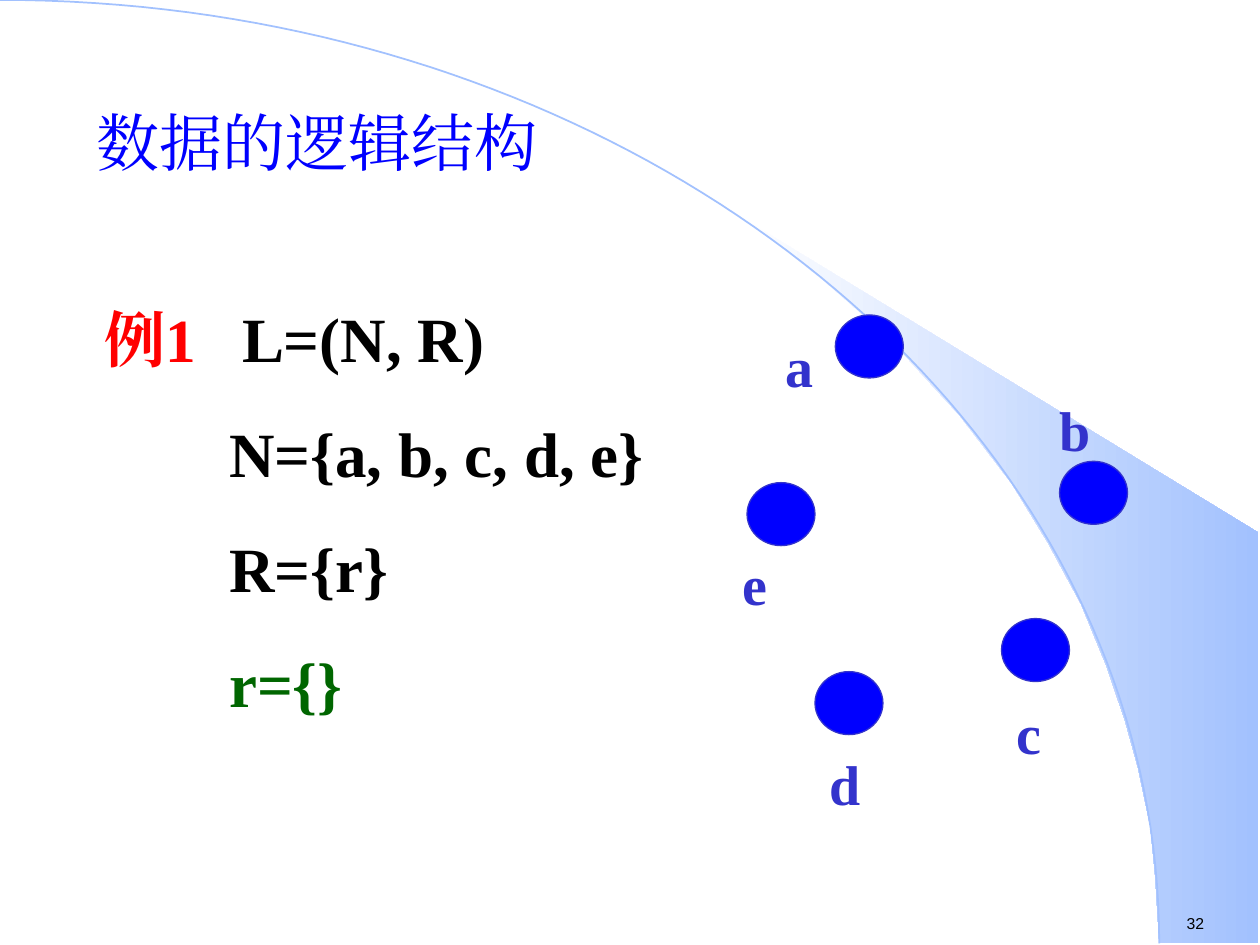
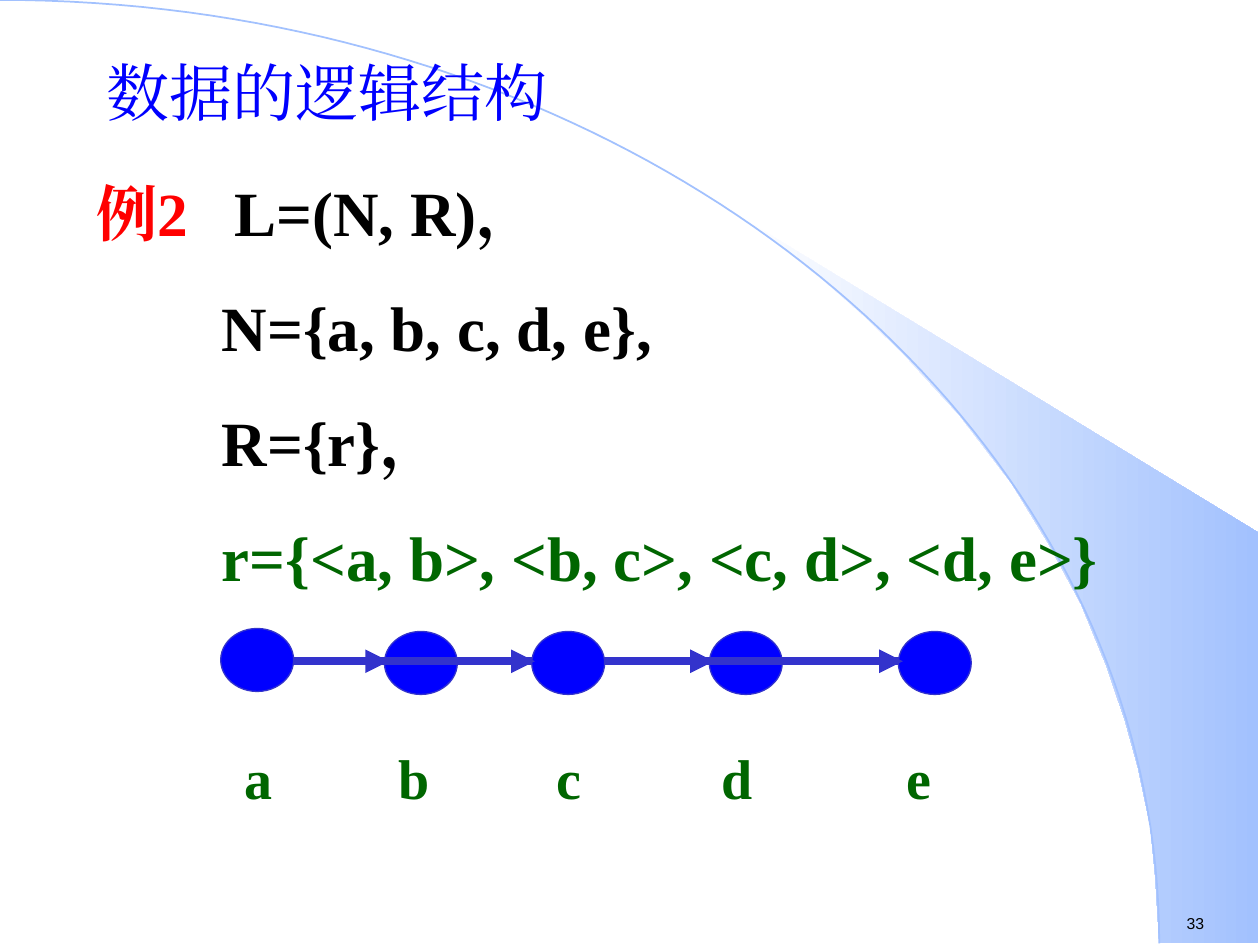
from dataclasses import dataclass
from typing import NamedTuple

from lxml.etree import SubElement
from pptx import Presentation
from pptx.dml.color import RGBColor
from pptx.enum.shapes import MSO_CONNECTOR, MSO_SHAPE
from pptx.enum.text import MSO_ANCHOR, PP_ALIGN
from pptx.oxml.ns import qn
from pptx.util import Cm, Pt


@dataclass(frozen=True)
class Theme:
    serif: str = "Times New Roman"
    sans: str = "Arial"
    black: str = "000000"
    blue: str = "0000FF"
    indigo: str = "3333CC"
    red: str = "FF0000"
    green: str = "006600"
    sky: str = "A2C1FE"
    white: str = "FFFFFF"
    title_size: float = 36
    body_size: float = 36
    example_size: float = 35
    label_size: float = 32
    number_size: float = 9
    line_height: float = 1.2
    formula_gap: float = 22.5


THEME = Theme()


class Node(NamedTuple):
    left: float
    top: float
    width: float
    height: float = 1.27


class Label(NamedTuple):
    text: str
    center: float
    top: float


class Span(NamedTuple):
    text: str
    color: str
    size: float = THEME.body_size


class Example(NamedTuple):
    """Formula block: its heading, then indented lines, the last one green."""
    left: float
    top: float
    width: float
    heading: str
    lines: tuple[str, ...]


BAND = (
    (23.37, 19), (25.37, 19.02), (25.37, 10.74), (14.96, 4.39), (15.85, 5.05),
    (16.59, 5.64), (17.4, 6.35), (18.19, 7.11), (19.35, 8.38), (20.4, 9.75),
    (21.13, 10.95), (21.79, 12.17), (22.3, 13.41), (22.68, 14.53),
    (22.94, 15.47), (23.19, 16.66), (23.29, 17.68),
)
ARC_CONTROLS = ((0, 0), (12.9, 0), (23.37, 8.51), (23.37, 19.02))
ARC_STEPS = 80
FORMULA_INDENT = 2.52
HEADING_TAB = 2.78
LABEL_WIDTH, LABEL_HEIGHT = 1.5, 1.63

SCATTERED_NODES = tuple(Node(left, top, 1.37) for left, top in (
    (15.06, 9.73), (16.43, 13.54), (21.36, 9.3), (16.84, 6.35), (20.19, 12.47)))
SCATTERED_LABELS = (
    Label("a", 16.11, 6.53), Label("e", 15.21, 10.92), Label("c", 20.75, 13.92),
    Label("d", 17.03, 14.94), Label("b", 21.67, 7.82))

CHAIN_A, CHAIN_B, CHAIN_C, CHAIN_D, CHAIN_E = (
    Node(left, top, 1.47) for left, top in (
        (4.45, 12.67), (7.75, 12.73), (10.72, 12.73), (14.3, 12.73), (18.11, 12.73)))
CHAIN_LABELS = tuple(Label(text, center, 14.83) for text, center in zip(
    "abcde", (5.22, 8.35, 11.48, 14.86, 18.53)))
CHAIN_Y = 13.33
ARROW_STARTS = (7.42, 10.36, 13.97, 17.78)
ARROW_LENGTH = 0.42


def rgb(color: str) -> RGBColor:
    return RGBColor.from_string(color)


def add_text(page, left: float, top: float, width: float, height: float,
             paragraphs: list[list[Span]], *, font: str = THEME.serif,
             bold: bool = False, wrap: bool = True, align=PP_ALIGN.LEFT,
             gap: float = 0):
    box = page.shapes.add_textbox(Cm(left), Cm(top), Cm(width), Cm(height))
    frame = box.text_frame
    frame.word_wrap = wrap
    frame.vertical_anchor = MSO_ANCHOR.TOP
    frame.margin_top = Cm(0.16)
    for index, spans in enumerate(paragraphs):
        para = frame.add_paragraph() if index else frame.paragraphs[0]
        para.alignment = align
        para.line_spacing = Pt(max(span.size for span in spans) * THEME.line_height)
        if index:
            para.space_before = Pt(gap)
        for span in spans:
            run = para.add_run()
            run.text = span.text
            run.font.size = Pt(span.size)
            run.font.bold = bold
            run.font.color.rgb = rgb(span.color)
            run.font.name = font
            SubElement(run.font._element, qn("a:ea"), typeface=font)
    return box


def add_outline(page, points, closed: bool):
    (start_x, start_y), *rest = [(Cm(x), Cm(y)) for x, y in points]
    builder = page.shapes.build_freeform(start_x, start_y)
    builder.add_line_segments(rest, close=closed)
    outline = builder.convert_to_shape()
    outline.shadow.inherit = False
    return outline


def arc_point(t: float) -> tuple[float, float]:
    """Point of the cubic curve at t."""
    weights = ((1 - t) ** 3, 3 * t * (1 - t) ** 2, 3 * t * t * (1 - t), t ** 3)
    x, y = (sum(weight * point[axis] for weight, point in zip(weights, ARC_CONTROLS))
            for axis in (0, 1))
    return x, y


def add_backdrop(page) -> None:
    band = add_outline(page, BAND, closed=True)
    band.fill.gradient()
    band.fill.gradient_angle = 0
    for stop, color in zip(band.fill.gradient_stops, (THEME.white, THEME.sky)):
        stop.color.rgb = rgb(color)
    band.line.fill.background()

    arc_points = [arc_point(step / ARC_STEPS) for step in range(ARC_STEPS + 1)]
    arc = add_outline(page, arc_points, closed=False)
    arc.fill.background()
    arc.line.color.rgb = rgb(THEME.sky)
    arc.line.width = Pt(1)


def add_page(deck, number: int, title_left: float, title_top: float):
    """Blank page with the shared backdrop, page number and title."""
    page = deck.slides.add_slide(deck.slide_layouts[6])
    add_backdrop(page)
    add_text(page, 23.67, 18.26, 1.4, 0.64,
             [[Span(str(number), THEME.black, THEME.number_size)]],
             font=THEME.sans, wrap=False)
    add_text(page, title_left, title_top, 17, 2,
             [[Span("数据的逻辑结构", THEME.blue, THEME.title_size)]])
    return page


def add_example(page, example: Example) -> None:
    first, *middle, relation = example.lines
    paragraphs = [
        [Span(example.heading, THEME.red, THEME.example_size),
         Span("\t" + first, THEME.black)],
        *([Span(line, THEME.black)] for line in middle),
        [Span(relation, THEME.green)],
    ]
    box = add_text(page, example.left, example.top, example.width, 8.74,
                   paragraphs, bold=True, gap=THEME.formula_gap)
    heading, *formulas = box.text_frame.paragraphs
    tabs = SubElement(heading._p.get_or_add_pPr(), qn("a:tabLst"))
    SubElement(tabs, qn("a:tab"), pos=str(Cm(HEADING_TAB)), algn="l")
    for para in formulas:
        para._p.get_or_add_pPr().set("marL", str(Cm(FORMULA_INDENT)))


def add_nodes(page, *nodes: Node) -> None:
    for node in nodes:
        oval = page.shapes.add_shape(MSO_SHAPE.OVAL, *(Cm(length) for length in node))
        oval.shadow.inherit = False
        oval.fill.solid()
        oval.fill.fore_color.rgb = rgb(THEME.blue)
        oval.line.color.rgb = rgb(THEME.indigo)
        oval.line.width = Pt(0.75)


def add_labels(page, labels: tuple[Label, ...], color: str) -> None:
    for label in labels:
        add_text(page, label.center - LABEL_WIDTH / 2, label.top,
                 LABEL_WIDTH, LABEL_HEIGHT,
                 [[Span(label.text, color, THEME.label_size)]],
                 bold=True, align=PP_ALIGN.CENTER)


def add_link(page, start: float, end: float, arrow: bool = False) -> None:
    link = page.shapes.add_connector(
        MSO_CONNECTOR.STRAIGHT, Cm(start), Cm(CHAIN_Y), Cm(end), Cm(CHAIN_Y))
    link.line.color.rgb = rgb(THEME.indigo)
    link.line.width = Pt(4.5)
    if arrow:
        SubElement(link.line._get_or_add_ln(), qn("a:tailEnd"), type="triangle")
    SubElement(link._element.spPr, qn("a:effectLst"))


def build_scattered_page(deck) -> None:
    page = add_page(deck, 32, 1.7, 1.93)
    add_example(page, Example(1.85, 5.87, 12.45, "例1", (
        "L=(N, R)", "N={a, b, c, d, e}", "R={r}", "r={}")))
    add_nodes(page, *SCATTERED_NODES)
    add_labels(page, SCATTERED_LABELS, THEME.indigo)


def build_chain_page(deck) -> None:
    page = add_page(deck, 33, 1.9, 0.91)
    add_example(page, Example(1.7, 3.33, 22.4, "例2", (
        "L=(N, R)，", "N={a, b, c, d, e},", "R={r}，",
        "r={<a, b>, <b, c>, <c, d>, <d, e>}")))
    add_nodes(page, CHAIN_D, CHAIN_A, CHAIN_B)
    add_link(page, CHAIN_A.left + CHAIN_A.width, 18.29)
    add_nodes(page, CHAIN_C, CHAIN_E)
    add_labels(page, CHAIN_LABELS, THEME.green)
    for start in ARROW_STARTS:
        add_link(page, start, start + ARROW_LENGTH, arrow=True)


def main() -> None:
    deck = Presentation()
    deck.slide_width, deck.slide_height = Cm(25.4), Cm(19.05)
    build_scattered_page(deck)
    build_chain_page(deck)
    deck.save("out.pptx")


if __name__ == "__main__":
    main()
